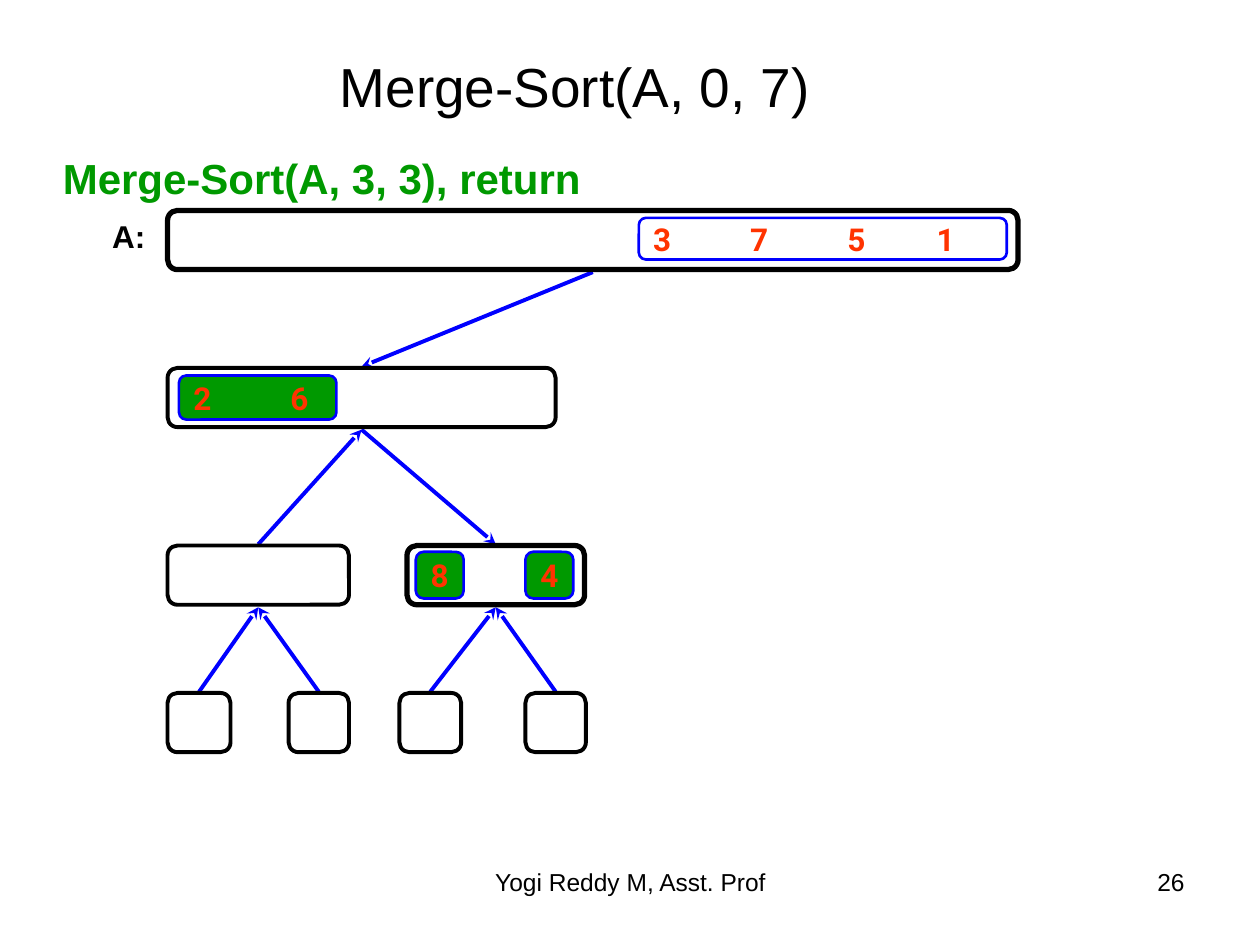
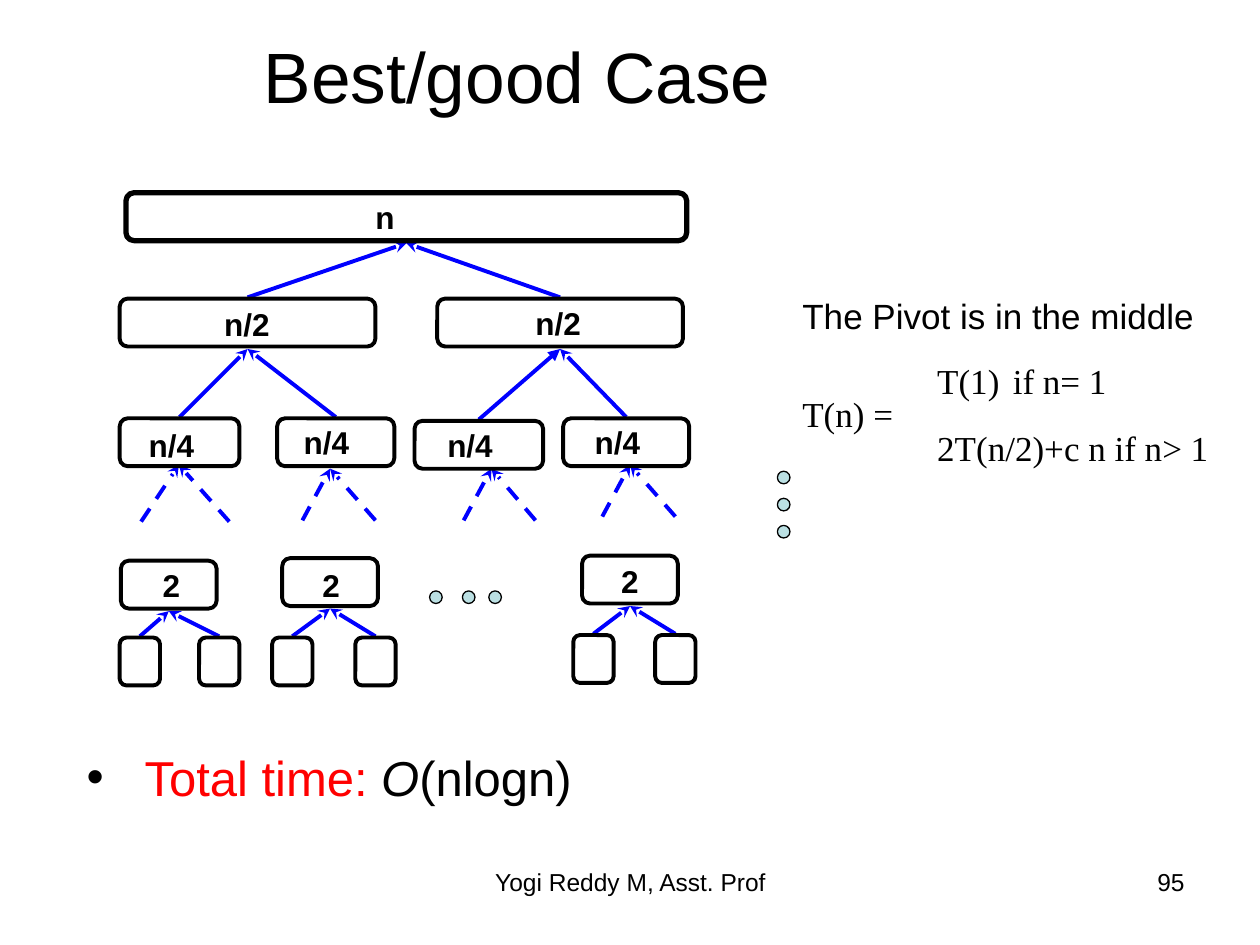
from dataclasses import dataclass

from lxml import etree
from pptx import Presentation
from pptx import util as u
from pptx.dml.color import RGBColor
from pptx.enum import dml, shapes, text
from pptx.oxml import ns

BLACK, BLUE, GREEN = "000000", "0000FF", "009900"
ORANGE, RED, PALE = "FF3300", "FF0000", "BBE0E3"
LEFT, CENTER, RIGHT = text.PP_ALIGN.LEFT, text.PP_ALIGN.CENTER, text.PP_ALIGN.RIGHT
TOP, MIDDLE, BOTTOM = text.MSO_ANCHOR.TOP, text.MSO_ANCHOR.MIDDLE, text.MSO_ANCHOR.BOTTOM
INSET = (0.1, 0.05)
VALUE_TABS = (0.77, 1.54, 2.25)


@dataclass
class Node:
    left: float
    top: float
    width: float
    height: float = 0.47
    weight: float = 2.25

    @property
    def entry(self) -> tuple[float, float]:
        return self.left + self.width / 2, self.top - 0.01

    @property
    def exit(self) -> tuple[float, float]:
        return self.left + self.width / 2, self.top + self.height + 0.02


@dataclass
class Label:
    wording: str
    left: float
    top: float


@dataclass
class Values:
    wording: str
    left: float
    top: float
    width: float
    height: float
    fill: str | None = GREEN


@dataclass
class Recursion:
    tip: tuple[float, float]
    left_foot: float
    right_foot: float
    foot_y: float


def color(hex_code: str) -> RGBColor:
    return RGBColor.from_string(hex_code)


def format_font(font, size: float, hue: str = BLACK, bold: bool = False, face: str = "Arial") -> None:
    font.name, font.size, font.bold = face, u.Pt(size), bold
    font.color.rgb = color(hue)


def set_insets(frame, horizontal: float, vertical: float) -> None:
    frame.margin_left = frame.margin_right = u.Inches(horizontal)
    frame.margin_top = frame.margin_bottom = u.Inches(vertical)


def add_tabs(paragraph, stops: tuple[float, ...]) -> None:
    tab_list = etree.SubElement(paragraph._p.get_or_add_pPr(), ns.qn("a:tabLst"))
    for stop in stops:
        etree.SubElement(tab_list, ns.qn("a:tab"), pos=str(u.Inches(stop)), algn="l")


def place(shape, left: float, top: float, width: float, height: float) -> None:
    shape.left, shape.top = u.Inches(left), u.Inches(top)
    shape.width, shape.height = u.Inches(width), u.Inches(height)


def add_text(slide, wording: str, box: tuple[float, ...], size: float, hue: str = BLACK,
             bold: bool = False, align=LEFT, insets: tuple[float, float] = INSET):
    frame = slide.shapes.add_textbox(*map(u.Inches, box)).text_frame
    frame.word_wrap = True
    set_insets(frame, *insets)
    frame.text = wording
    for paragraph in frame.paragraphs:
        paragraph.alignment = align
        for run in paragraph.runs:
            format_font(run.font, size, hue, bold)
    return frame


def add_label(slide, label: Label) -> None:
    add_text(slide, label.wording, (label.left, label.top, 0.56, 0.3), 18, bold=True, insets=(0, 0))


def add_outline(slide, kind, box: tuple[float, ...], line: str, weight: float, fill: str | None = None):
    shape = slide.shapes.add_shape(kind, *map(u.Inches, box))
    shape.shadow.inherit = False
    if fill:
        shape.fill.solid()
        shape.fill.fore_color.rgb = color(fill)
    else:
        shape.fill.background()
    shape.line.color.rgb = color(line)
    shape.line.width = u.Pt(weight)
    return shape


def add_node(slide, node: Node) -> None:
    add_outline(slide, shapes.MSO_SHAPE.ROUNDED_RECTANGLE,
                (node.left, node.top, node.width, node.height), BLACK, node.weight)


def add_values(slide, values: Values) -> None:
    box = (values.left, values.top, values.width, values.height)
    frame = add_outline(slide, shapes.MSO_SHAPE.ROUNDED_RECTANGLE, box, BLUE, 1.5, values.fill).text_frame
    several = "\t" in values.wording
    frame.word_wrap = several
    frame.vertical_anchor = MIDDLE
    set_insets(frame, 0.1 if several else 0, 0)
    frame.text = values.wording
    paragraph = frame.paragraphs[0]
    paragraph.alignment = LEFT if several else CENTER
    if several:
        add_tabs(paragraph, VALUE_TABS)
    format_font(paragraph.runs[0].font, 18, ORANGE, True, "Roboto")


def add_dot(slide, left: float, top: float) -> None:
    add_outline(slide, shapes.MSO_SHAPE.OVAL, (left, top, 0.1, 0.1), BLACK, 0.75, PALE)


def add_arrow(slide, start: tuple[float, float], tip: tuple[float, float],
              dashed: bool = False, point: str = "stealth") -> None:
    arrow = slide.shapes.add_connector(shapes.MSO_CONNECTOR.STRAIGHT, *map(u.Inches, (*start, *tip)))
    arrow.line.color.rgb = color(BLUE)
    arrow.line.width = u.Pt(2.25)
    if dashed:
        arrow.line.dash_style = dml.MSO_LINE.DASH
    etree.SubElement(arrow.line._get_or_add_ln(), ns.qn("a:tailEnd"), type=point)
    etree.SubElement(arrow._element.spPr, ns.qn("a:effectLst"))


def add_titled_slide(deck, title: str, box: tuple[float, ...], size: float, anchor, number: int):
    slide = deck.slides.add_slide(deck.slide_layouts[5])
    heading = slide.shapes.title
    place(heading, *box)
    frame = heading.text_frame
    frame.text = title
    frame.word_wrap = True
    frame.auto_size = text.MSO_AUTO_SIZE.NONE
    frame.vertical_anchor = anchor
    set_insets(frame, *INSET)
    frame.paragraphs[0].alignment = CENTER
    format_font(frame.paragraphs[0].runs[0].font, size)
    add_text(slide, "Yogi Reddy M, Asst. Prof", (3.42, 6.83, 3.17, 0.52), 14, align=CENTER)
    add_text(slide, str(number), (7.17, 6.83, 2.33, 0.52), 14, align=RIGHT)
    return slide


def build_merge_sort(deck) -> None:
    slide = add_titled_slide(deck, "Merge-Sort(A, 0, 7)", (0.44, 0.35, 8.25, 0.64), 31.4, BOTTOM, 26)
    whole = Node(1.33, 1.67, 6.75, weight=3)
    half = Node(1.33, 2.92, 3.08)
    sorted_pair = Node(1.33, 4.33, 1.44)
    open_pair = Node(3.23, 4.33, 1.41, weight=3)
    singles = [Node(left, 5.5, width) for left, width in
               ((1.33, 0.5), (2.29, 0.48), (3.17, 0.49), (4.17, 0.48))]

    for caller, callee in ((whole, half), (half, open_pair)):
        add_arrow(slide, caller.exit, callee.entry)
    returns = [(sorted_pair, half)]
    returns += zip(singles, (sorted_pair, sorted_pair, open_pair, open_pair))
    for callee, caller in returns:
        add_arrow(slide, callee.entry, caller.exit)
    for node in (whole, half, sorted_pair, open_pair, *singles):
        add_node(slide, node)

    for values in (
        Values("3\t7\t5\t1", 5.07, 1.73, 2.92, 0.33, None),
        Values("2\t6", 1.42, 2.98, 1.25, 0.35),
        Values("8", 3.3, 4.38, 0.38, 0.37),
        Values("4", 4.17, 4.38, 0.38, 0.37),
    ):
        add_values(slide, values)
    add_text(slide, "Merge-Sort(A, 3, 3), return", (0.4, 1.16, 4.57, 0.5), 24, GREEN, True)
    add_label(slide, Label("A:", 0.89, 1.72))


def add_recurrence(slide) -> None:
    wording = "The Pivot is in the middle\n\tT(1)\tif n= 1\nT(n) =\n\t2T(n/2)+c n if n> 1"
    frame = add_text(slide, wording, (6.27, 2.35, 3.54, 1.44), 20)
    for paragraph in frame.paragraphs:
        add_tabs(paragraph, (1.07, 1.67))
        paragraph.line_spacing = 0.8
    for formula in frame.paragraphs[1:]:
        formula.runs[0].font.name = "Times New Roman"
    frame.paragraphs[1].space_before = u.Pt(18)


def add_total_time(slide) -> None:
    frame = add_text(slide, "Total time: ", (0.59, 5.88, 7.73, 1.04), 28, RED)
    paragraph = frame.paragraphs[0]
    properties = paragraph._p.get_or_add_pPr()
    properties.set("marL", str(u.Inches(0.46)))
    properties.set("indent", str(u.Inches(-0.46)))
    bullet_color = etree.SubElement(properties, ns.qn("a:buClr"))
    etree.SubElement(bullet_color, ns.qn("a:srgbClr"), val=BLACK)
    etree.SubElement(properties, ns.qn("a:buFont"), typeface="Arial")
    etree.SubElement(properties, ns.qn("a:buChar"), char="•")
    for wording, italic in (("O", True), ("(nlogn)", False)):
        run = paragraph.add_run()
        run.text = wording
        format_font(run.font, 28)
        run.font.italic = italic


def build_best_case(deck) -> None:
    slide = add_titled_slide(deck, "Best/good Case", (-0.02, 0.19, 8.25, 0.81), 40.7, MIDDLE, 95)
    height = 0.38
    whole = Node(1, 1.53, 4.45, height, 3)
    halves = [Node(left, 2.37, width, height) for left, width in ((0.95, 2.03), (3.47, 1.95))]
    quarters = [Node(left, top, width, height) for left, top, width in
                ((0.95, 3.32, 0.95), (2.2, 3.32, 0.93), (3.29, 3.34, 1.02), (4.47, 3.32, 1))]
    twos = [Node(left, top, 0.76, height) for left, top in ((0.96, 4.45), (2.24, 4.43), (4.62, 4.41))]
    ones = [Node(left, top, 0.32, height) for left, top in
            ((0.95, 5.06), (1.58, 5.06), (2.16, 5.06), (2.82, 5.06), (4.55, 5.04), (5.2, 5.04))]

    for parents, children in (([whole], halves), (halves, quarters), (twos, ones)):
        for index, child in enumerate(children):
            point = "triangle" if child is quarters[2] else "stealth"
            add_arrow(slide, child.entry, parents[index // 2].exit, point=point)
    for recursion in (
        Recursion((1.42, 3.69), 1.12, 1.82, 4.14),
        Recursion((2.62, 3.72), 2.4, 2.98, 4.13),
        Recursion((3.9, 3.72), 3.68, 4.25, 4.13),
        Recursion((5, 3.69), 4.78, 5.36, 4.1),
    ):
        for foot in (recursion.left_foot, recursion.right_foot):
            add_arrow(slide, (foot, recursion.foot_y), recursion.tip, dashed=True)
    for node in (whole, *halves, *quarters, *twos, *ones):
        add_node(slide, node)

    for label in (
        Label("n", 2.98, 1.57),
        Label("n/2", 1.78, 2.42), Label("n/2", 4.25, 2.41),
        Label("n/4", 1.18, 3.38), Label("n/4", 2.41, 3.36),
        Label("n/4", 3.55, 3.38), Label("n/4", 4.72, 3.36),
        Label("2", 1.29, 4.49), Label("2", 2.56, 4.49), Label("2", 4.93, 4.46),
    ):
        add_label(slide, label)

    for left in (3.41, 3.67, 3.88):
        add_dot(slide, left, 4.69)
    for step in range(3):
        add_dot(slide, 6.17, 3.74 + 0.215 * step)
    add_recurrence(slide)
    add_total_time(slide)


def main() -> None:
    deck = Presentation()
    deck.slide_width, deck.slide_height = u.Inches(10), u.Inches(7.5)
    build_merge_sort(deck)
    build_best_case(deck)
    deck.save("out.pptx")


if __name__ == "__main__":
    main()
